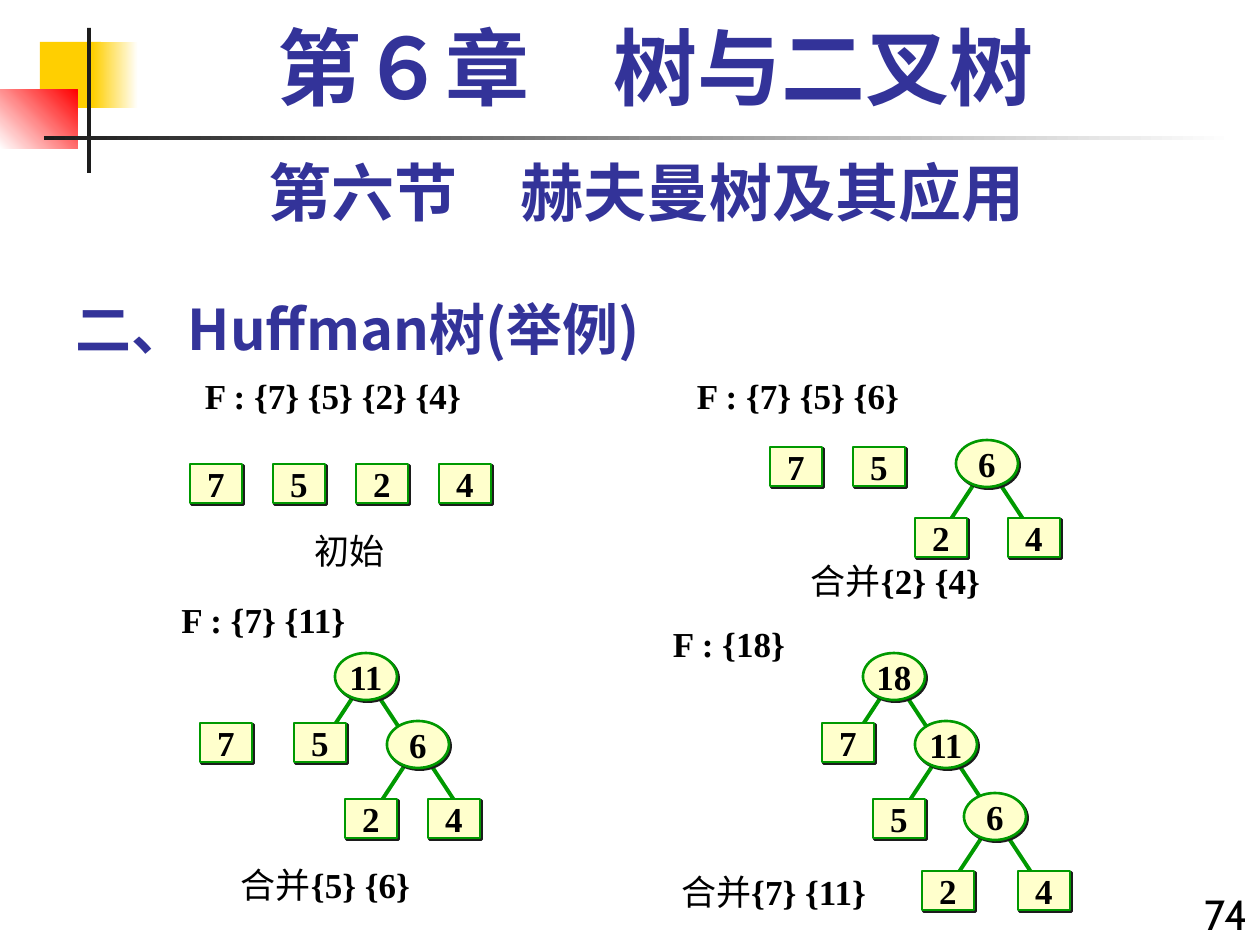
from dataclasses import dataclass

from lxml.etree import SubElement
from pptx import Presentation
from pptx.dml.color import RGBColor
from pptx.enum.shapes import MSO_CONNECTOR, MSO_SHAPE
from pptx.enum.text import MSO_ANCHOR, MSO_AUTO_SIZE, PP_ALIGN
from pptx.oxml.ns import qn
from pptx.util import Emu, Pt

PX_PER_INCH = 126
SERIF, SANS, CJK = "Times New Roman", "Cabin", "Noto Sans CJK SC"

BLACK = RGBColor(0x00, 0x00, 0x00)
WHITE = RGBColor(0xFF, 0xFF, 0xFF)
INK = RGBColor(0x1C, 0x1C, 0x1C)
INDIGO = RGBColor(0x33, 0x33, 0x99)
GOLD = RGBColor(0xFF, 0xCF, 0x01)
RED = RGBColor(0xFF, 0x00, 0x00)
CREAM = RGBColor(0xFF, 0xFF, 0xCC)
GREEN = RGBColor(0x00, 0x99, 0x00)


@dataclass
class Node:
    key: str
    x: int
    y: int
    inner: bool = False  # inner nodes are ovals, leaves are boxes

    @property
    def size(self) -> tuple[int, int]:
        return (62, 47) if self.inner else (52, 39)


@dataclass
class Label:
    x: int
    y: int
    w: int
    plain: str = ""
    bold: str = ""


@dataclass
class Bar:
    x: int
    y: int
    w: int
    h: int
    start: RGBColor
    end: RGBColor | None = None
    angle: int = 0


def px(n: float) -> Emu:
    return Emu(round(n * 914400 / PX_PER_INCH))


def write(sp, text: str, *, size=20, font=SERIF, color=BLACK, bold=True,
          align=PP_ALIGN.CENTER, anchor=MSO_ANCHOR.MIDDLE, wrap=False) -> None:
    """Add a run to the first paragraph of a shape."""
    tf = sp.text_frame
    tf.word_wrap = wrap
    tf.auto_size = MSO_AUTO_SIZE.NONE
    tf.vertical_anchor = anchor
    p = tf.paragraphs[0]
    p.alignment = align
    r = p.add_run()
    r.text = text
    f = r.font
    f.name, f.size, f.bold = font, Pt(size), bold
    f.color.rgb = color
    SubElement(r._r.get_or_add_rPr(), qn("a:ea"), typeface=CJK)


def add_box(slide, x: int, y: int, w: int, h: int):
    return slide.shapes.add_textbox(px(x), px(y), px(w), px(h))


def draw_bar(slide, bar: Bar) -> None:
    sp = slide.shapes.add_shape(MSO_SHAPE.RECTANGLE, px(bar.x), px(bar.y),
                                px(bar.w), px(bar.h))
    sp.shadow.inherit = False
    sp.line.fill.background()
    if bar.end is None:
        sp.fill.solid()
        sp.fill.fore_color.rgb = bar.start
        return
    sp.fill.gradient()
    sp.fill.gradient_angle = bar.angle
    for stop, color in zip(sp.fill.gradient_stops, (bar.start, bar.end)):
        stop.color.rgb = color


def draw_branches(slide, node: Node) -> None:
    """Two lines leaving the lower half of an inner node."""
    w, h = node.size
    cx, cy = node.x + w / 2, node.y + h / 2
    for side in (-1, 1):
        line = slide.shapes.add_connector(
            MSO_CONNECTOR.STRAIGHT, px(cx + side * 10), px(cy + 16),
            px(cx + side * 41), px(cy + 63))
        line.line.color.rgb = GREEN
        line.line.width = Pt(2.25)
        SubElement(line._element.spPr, qn("a:effectLst"))


def draw_node(slide, node: Node) -> None:
    w, h = node.size
    kind = MSO_SHAPE.OVAL if node.inner else MSO_SHAPE.RECTANGLE
    sp = slide.shapes.add_shape(kind, px(node.x), px(node.y), px(w), px(h))
    sp.fill.solid()
    sp.fill.fore_color.rgb = CREAM
    sp.line.color.rgb = GREEN
    sp.line.width = Pt(1.5)
    sp.shadow.inherit = False
    # Hard shadow to the lower right
    effects = sp._element.spPr.find(qn("a:effectLst"))
    shadow = SubElement(effects, qn("a:outerShdw"), dist=str(Pt(1.4)),
                        dir="2700000", algn="ctr", rotWithShape="0")
    SubElement(shadow, qn("a:srgbClr"), val=str(INK))
    tf = sp.text_frame
    tf.margin_left = tf.margin_right = tf.margin_top = tf.margin_bottom = 0
    write(sp, node.key)


def draw_forest(slide, nodes: list[Node]) -> None:
    for node in nodes:
        if node.inner:
            draw_branches(slide, node)
    for node in nodes:
        draw_node(slide, node)


def draw_label(slide, label: Label) -> None:
    sp = add_box(slide, label.x, label.y, label.w, 55)
    if label.plain:
        write(sp, label.plain, bold=False)
    if label.bold:
        write(sp, label.bold)


BARS = [
    Bar(40, 42, 61, 66, GOLD),
    Bar(93, 42, 45, 66, GOLD, WHITE),
    Bar(0, 90, 78, 59, WHITE, RED, 45),
    Bar(87, 28, 4, 145, INK),
    Bar(44, 136, 1191, 4, INK, WHITE),
]

FORESTS = [
    # Start
    [Node(key, 190 + 83 * i, 464) for i, key in enumerate("7524")],
    # 2 and 4 merged
    [Node("7", 770, 447), Node("5", 853, 447), Node("2", 915, 518),
     Node("4", 1008, 518), Node("6", 956, 440, True)],
    # 5 and 6 merged
    [Node("7", 200, 723), Node("5", 294, 723), Node("2", 345, 799),
     Node("4", 428, 799), Node("6", 387, 721, True), Node("11", 335, 653, True)],
    # 7 and 11 merged
    [Node("7", 822, 723), Node("5", 873, 799), Node("2", 922, 871),
     Node("4", 1018, 871), Node("18", 863, 653, True),
     Node("11", 915, 721, True), Node("6", 964, 793, True)],
]

LABELS = [
    Label(192, 368, 282, bold="F : {7} {5} {2} {4}"),
    Label(684, 368, 228, bold="F : {7} {5} {6}"),
    Label(168, 592, 191, bold="F : {7} {11}"),
    Label(660, 616, 138, bold="F : {18}"),
    Label(302, 523, 95, plain="初始"),
    Label(794, 553, 203, plain="合并", bold="{2} {4}"),
    Label(224, 857, 203, plain="合并", bold="{5} {6}"),
    Label(663, 864, 221, plain="合并", bold="{7} {11}"),
]


def main() -> None:
    prs = Presentation()
    prs.slide_width, prs.slide_height = px(1260), px(945)
    slide = prs.slides.add_slide(prs.slide_layouts[5])

    # Corner decoration
    for bar in BARS:
        draw_bar(slide, bar)

    # Headings and page number
    title = slide.shapes.title
    title.left, title.top, title.width, title.height = map(px, (63, 273, 788, 95))
    write(title, "二、Huffman树(举例)", size=32, font=CJK, color=INDIGO,
          align=PP_ALIGN.LEFT, anchor=MSO_ANCHOR.BOTTOM, wrap=True)
    chapter = add_box(slide, 84, 21, 1144, 105)
    write(chapter, "第６章　树与二叉树", size=48, color=INDIGO,
          anchor=MSO_ANCHOR.TOP, wrap=True)
    chapter.text_frame.paragraphs[0].line_spacing = 0.9
    write(add_box(slide, 63, 147, 1166, 88), "第六节　赫夫曼树及其应用", size=36,
          font=SANS, color=INDIGO, anchor=MSO_ANCHOR.TOP, wrap=True)
    write(add_box(slide, 1176, 882, 84, 74), "74", size=24, font=SANS, bold=False,
          align=PP_ALIGN.RIGHT, anchor=MSO_ANCHOR.TOP, wrap=True)

    # Four steps of the merge
    for forest in FORESTS:
        draw_forest(slide, forest)
    for label in LABELS:
        draw_label(slide, label)

    prs.save("out.pptx")


if __name__ == "__main__":
    main()
